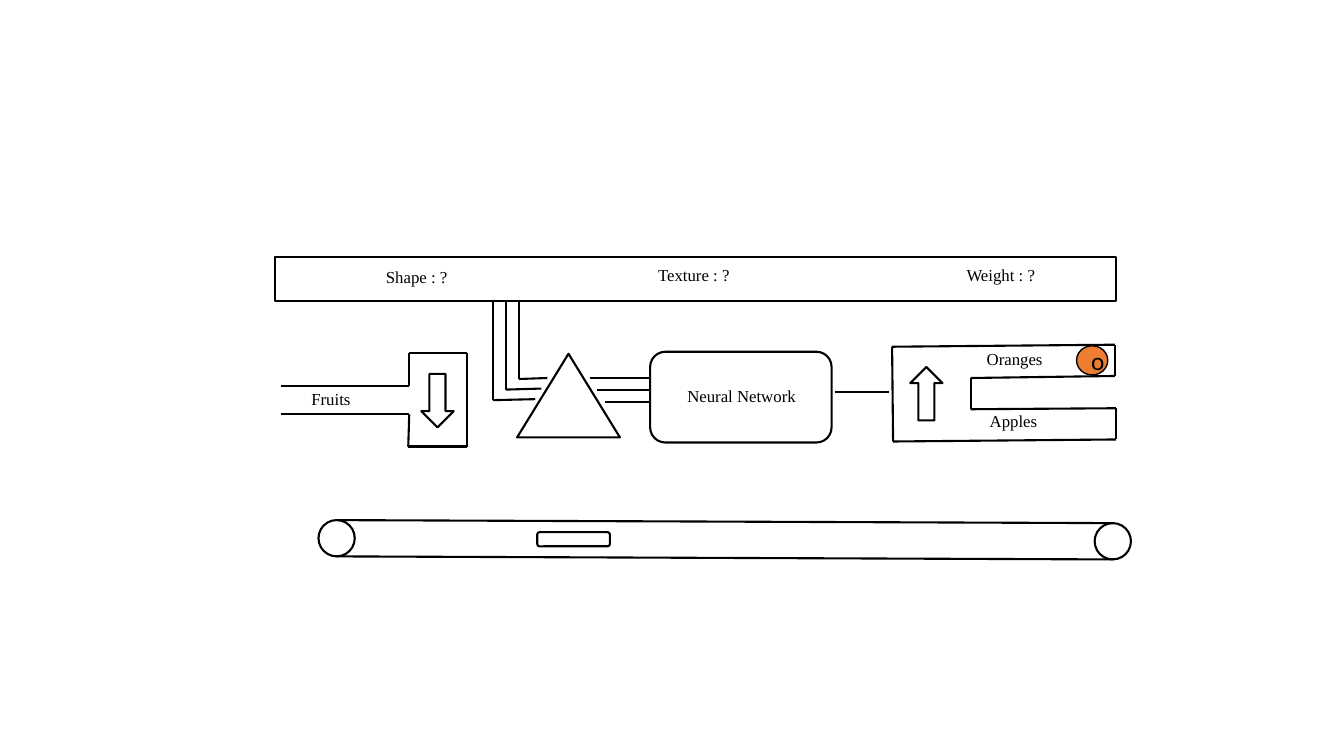
import pptx
import pptx.util
import pptx.dml.color
import pptx.enum.shapes
import pptx.enum.text
import pptx.oxml
from dataclasses import dataclass

KIND = pptx.enum.shapes.MSO_SHAPE
ALIGN = pptx.enum.text.PP_ALIGN
ANCHOR = pptx.enum.text.MSO_ANCHOR


@dataclass(frozen=True)
class Theme:
    ink: str = "000000"
    paper: str = "FFFFFF"
    orange: str = "ED7D31"
    label_font: str = "Times New Roman"
    fruit_font: str = "Calibri"
    label_size: int = 12
    fruit_size: int = 18
    stroke: float = 1.5
    thin_stroke: float = 1


THEME = Theme()
COLUMNS, ROWS = 133.33, 75
CELL = pptx.util.Inches(0.1)

PULLEY = 3.6
LABEL_HEIGHT = 3
LABELS = [
    ("Shape : ?", 37.3, 26, 9.7),
    ("Texture : ?", 64.3, 25.8, 9.7),
    ("Weight : ?", 94.9, 25.8, 9.7),
    ("Neural Network", 67.2, 37.8, 13.6),
    ("Oranges", 96.9, 34.1, 13.6),
    ("Apples", 97.2, 40.3, 13.6),
    ("Fruits", 29.9, 38.1, 8.2),
]
MACHINE = [
    (KIND.RECTANGLE, 27.3, 25.5, 83.4, 4.4, 0),
    (KIND.ISOSCELES_TRIANGLE, 51.3, 35.1, 10.2, 8.3, 0),
    (KIND.FLOWCHART_ALTERNATE_PROCESS, 64.5, 34.9, 18, 9, 0),
    (KIND.DOWN_ARROW, 41.8, 37.1, 3.2, 5.3, 0),
    (KIND.DOWN_ARROW, 90.3, 36.4, 3.2, 5.3, 180),
]
CONVEYOR = [
    (KIND.OVAL, 31.6, 51.6, PULLEY, PULLEY, 0),
    (KIND.OVAL, 108.6, 51.9, PULLEY, PULLEY, 0),
]
BELT_PLATE = (KIND.ROUNDED_RECTANGLE, 53.3, 52.8, 7.2, 1.4, 0)
ORANGE_FRUIT = (KIND.OVAL, 106.8, 34.3, 3.1, 2.9, 0)

FRUIT_INLET = [(27.9, 38.3), (40.6, 38.3), (40.6, 35), (46.3, 35),
               (46.3, 44.3), (40.5, 44.3), (40.6, 41.1), (27.9, 41.1)]
SORTER = [(88.5, 34.4), (88.6, 43.8), (110.7, 43.6), (110.7, 40.5), (96.3, 40.6),
          (96.3, 37.5), (110.6, 37.3), (110.6, 34.2), (88.5, 34.4)]
VERDICT_WIRE = [(82.8, 38.9), (88.2, 38.9)]
FEATURES = 3


def feature_wires():
    for i in range(FEATURES):
        drop, turn = 51.5 - 1.3 * i, 37.6 + 1.05 * i
        yield [(drop, 30), (drop, turn), (54.3 - 0.6 * i, turn - 0.1)]
        out = 37.5 + 1.2 * i
        yield [(58.5 + 0.75 * i, out), (64.5, out)]


def belt_sides():
    (_, x1, y1, *_), (_, x2, y2, *_) = CONVEYOR
    for drop in (0, PULLEY):
        yield [(x1 + PULLEY / 2, y1 + drop), (x2 + PULLEY / 2, y2 + drop)]


def grid(*cells):
    return [round(cell * CELL) for cell in cells]


def color(value):
    return pptx.dml.color.RGBColor.from_string(value)


def write(frame, text, font=THEME.label_font, size=THEME.label_size,
          align=ALIGN.LEFT, anchor=ANCHOR.TOP):
    frame.word_wrap = True
    frame.vertical_anchor = anchor
    line = frame.paragraphs[0]
    line.alignment = align
    run = line.add_run()
    run.text = text
    run.font.name = font
    run.font.size = pptx.util.Pt(size)
    run.font.color.rgb = color(THEME.ink)


def draw_part(slide, part, fill=THEME.paper, stroke=THEME.stroke):
    kind, left, top, width, height, turn = part
    shape = slide.shapes.add_shape(kind, *grid(left, top, width, height))
    shape.rotation = turn
    shape.shadow.inherit = False
    shape.fill.solid()
    shape.fill.fore_color.rgb = color(fill)
    shape.line.color.rgb = color(THEME.ink)
    shape.line.width = pptx.util.Pt(stroke)
    return shape


def draw_path(slide, points):
    for start, end in zip(points, points[1:]):
        wire = slide.shapes.add_connector(
            pptx.enum.shapes.MSO_CONNECTOR.STRAIGHT, *grid(*start, *end))
        wire.line.color.rgb = color(THEME.ink)
        wire.line.width = pptx.util.Pt(THEME.stroke)
        wire._element.spPr.append(pptx.oxml.parse_xml(
            '<a:effectLst xmlns:a="http://schemas.openxmlformats.org/drawingml/2006/main"/>'))


def main():
    deck = pptx.Presentation()
    deck.slide_width, deck.slide_height = grid(COLUMNS, ROWS)
    slide = deck.slides.add_slide(deck.slide_layouts[6])

    for part in MACHINE:
        draw_part(slide, part)
    for points in (FRUIT_INLET, SORTER, VERDICT_WIRE, *feature_wires()):
        draw_path(slide, points)
    for text, left, top, width in LABELS:
        label = slide.shapes.add_textbox(*grid(left, top, width, LABEL_HEIGHT))
        label.text_frame.auto_size = pptx.enum.text.MSO_AUTO_SIZE.SHAPE_TO_FIT_TEXT
        write(label.text_frame, text)
    for pulley in CONVEYOR:
        draw_part(slide, pulley)
    for side in belt_sides():
        draw_path(slide, side)
    draw_part(slide, BELT_PLATE)
    fruit = draw_part(slide, ORANGE_FRUIT, fill=THEME.orange, stroke=THEME.thin_stroke)
    write(fruit.text_frame, "o", font=THEME.fruit_font, size=THEME.fruit_size,
          align=ALIGN.CENTER, anchor=ANCHOR.MIDDLE)

    deck.save("out.pptx")


if __name__ == "__main__":
    main()
